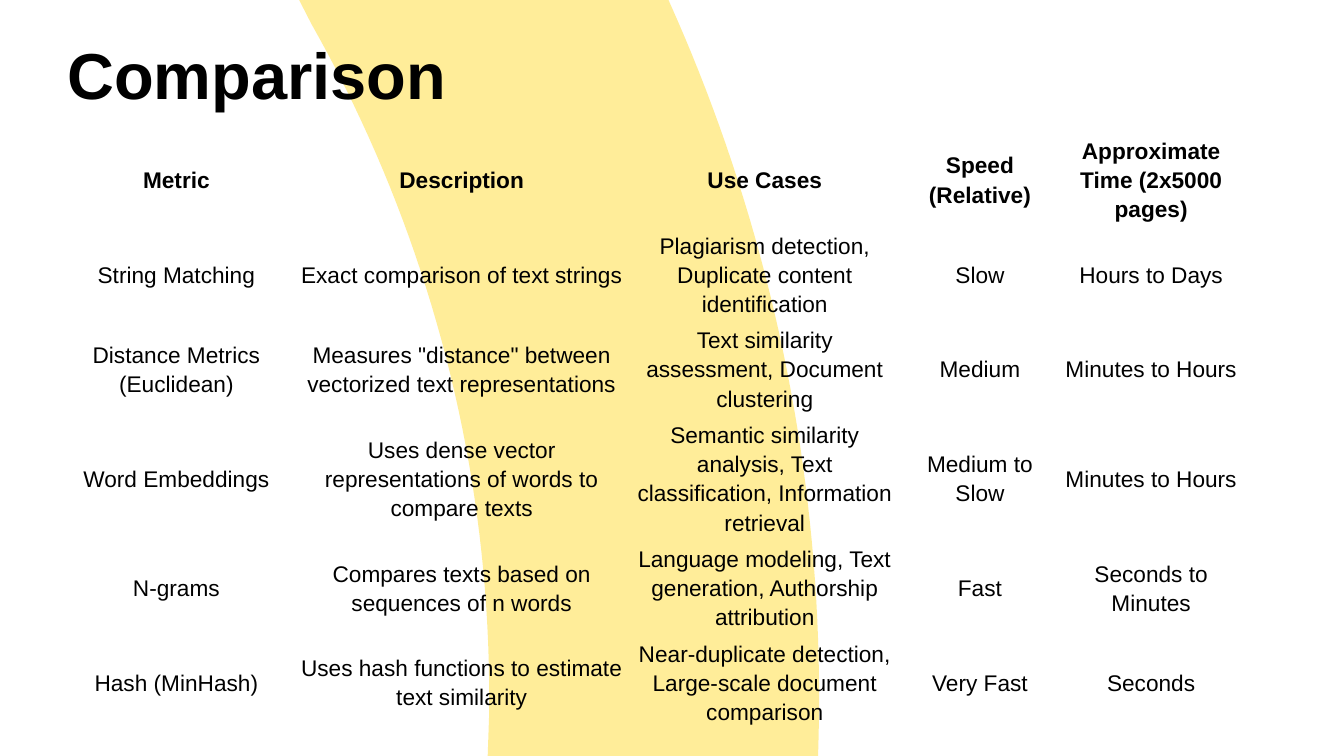
from math import cos, radians, sin

from lxml import etree
from pptx import Presentation
from pptx.dml.color import RGBColor
from pptx.enum.text import MSO_ANCHOR, MSO_AUTO_SIZE, PP_ALIGN
from pptx.oxml.ns import qn
from pptx.util import Inches, Pt

TOP, MID = MSO_ANCHOR.TOP, MSO_ANCHOR.MIDDLE
LEFT, MIDST = PP_ALIGN.LEFT, PP_ALIGN.CENTER
FIT = MSO_AUTO_SIZE.NONE

WIDE, HIGH = Inches(18.96), Inches(10.67)
COL, ROW = WIDE / 100, HIGH / 100  # grid of 100 columns by 100 rows
FONT = "Arial"
HUES = {"ink": "000000", "band": "FFD400"}
PLAIN = "{2D5ABB26-0587-4C30-8999-92F81FD0307C}"  # no style, no grid
TILT = 297.9  # turn of the band in degrees

COLS = [17.3, 25.16, 19.94, 12.08, 13.4]
ROWS = [10.78, 10.78, 10.78, 14.34, 10.78, 10.78]
CELLS = [
    ["Metric", "Description", "Use Cases", "Speed (Relative)",
     "Approximate Time (2x5000 pages)"],
    ["String Matching", "Exact comparison of text strings",
     "Plagiarism detection, Duplicate content identification",
     "Slow", "Hours to Days"],
    ["Distance Metrics (Euclidean)",
     'Measures "distance" between vectorized text representations',
     "Text similarity assessment, Document clustering",
     "Medium", "Minutes to Hours"],
    ["Word Embeddings",
     "Uses dense vector representations of words to compare texts",
     "Semantic similarity analysis, Text classification, Information retrieval",
     "Medium to Slow", "Minutes to Hours"],
    ["N-grams", "Compares texts based on sequences of n words",
     "Language modeling, Text generation, Authorship attribution",
     "Fast", "Seconds to Minutes"],
    ["Hash (MinHash)", "Uses hash functions to estimate text similarity",
     "Near-duplicate detection, Large-scale document comparison",
     "Very Fast", "Seconds"],
]


def grid(x, y, w, h):
    """Turn grid columns and rows into lengths."""
    return [round(v) for v in (x * COL, y * ROW, w * COL, h * ROW)]


def write(para, text, size, bold, align, lead):
    para.alignment, para.line_spacing = align, lead
    run = para.add_run()
    run.text = text
    font = run.font
    font.name, font.size, font.bold = FONT, Pt(size), bold
    font.color.rgb = RGBColor.from_string(HUES["ink"])


def curve(a, b, c, d, steps=40):
    """Points along a cubic curve from a to d."""
    for i in range(steps + 1):
        t = i / steps
        u = 1 - t
        yield tuple(u**3 * p + 3 * u * u * t * q + 3 * u * t * t * r + t**3 * s
                    for p, q, r, s in zip(a, b, c, d))


def spin(x, y, angle):
    """Turn a point about the corner of the slide."""
    a = radians(angle)
    return (round(x * cos(a) - y * sin(a)), round(x * sin(a) + y * cos(a)))


def add_band(slide, box):
    x, y, w, h = box
    # Both edges, in percent of the box
    right = curve((49.74, 0), (57.7, 31.4), (61.55, 65.7), (60.87, 100))
    left = curve((36.39, 94.75), (36.66, 62.6), (32.01, 30.93), (23.15, 3.09))
    ends = [(36.29, 100), *left, (22.26, 0)]
    # Draw the outline level, then tilt it into place
    pts = [spin(x + w * p / 100, y + h * q / 100, -TILT)
           for p, q in [*right, *ends]]
    pen = slide.shapes.build_freeform(*pts[0])
    pen.add_line_segments(pts[1:], close=True)
    band = pen.convert_to_shape()
    midx, midy = spin(band.left + band.width / 2,
                      band.top + band.height / 2, TILT)
    band.left = round(midx - band.width / 2)
    band.top = round(midy - band.height / 2)
    band.rotation = TILT
    band.shadow.inherit = False
    band.line.fill.background()
    band.fill.solid()
    band.fill.fore_color.rgb = RGBColor.from_string(HUES["band"])
    hue = band.fill._xPr.find(".//" + qn("a:srgbClr"))
    etree.SubElement(hue, qn("a:alpha"), val="40000")
    slide.shapes._spTree.insert(2, band._element)  # behind the title


def add_title(slide, box):
    title = slide.shapes.title
    title.left, title.top, title.width, title.height = box
    frame = title.text_frame
    frame.auto_size, frame.vertical_anchor = FIT, TOP
    frame.word_wrap = True
    write(frame.paragraphs[0], "Comparison", 66, True, LEFT, 0.9)


def add_grid(slide, box):
    table = slide.shapes.add_table(len(ROWS), len(COLS), *box).table
    table.first_row = table.horz_banding = False
    table._tbl.tblPr.find(qn("a:tableStyleId")).text = PLAIN
    for col, share in zip(table.columns, COLS):
        col.width = round(box[2] * share / sum(COLS))
    for row, share in zip(table.rows, ROWS):
        row.height = round(box[3] * share / sum(ROWS))
    for r, line in enumerate(CELLS):
        for c, text in enumerate(line):
            cell = table.cell(r, c)
            cell.fill.background()
            cell.vertical_anchor = MID
            cell.margin_left = cell.margin_right = Inches(0.03)
            cell.margin_top = cell.margin_bottom = Inches(0.05)
            write(cell.text_frame.paragraphs[0], text, 23, r == 0, MIDST, 1.15)


def main():
    deck = Presentation()
    deck.slide_width, deck.slide_height = WIDE, HIGH
    slide = deck.slides.add_slide(deck.slide_layouts[5])
    add_band(slide, grid(0, 0, 100, 100))
    add_title(slide, grid(4.48, 5.25, 49, 17.81))
    add_grid(slide, grid(4.48, 17.38, sum(COLS), sum(ROWS)))
    deck.save("out.pptx")


if __name__ == "__main__":
    main()
